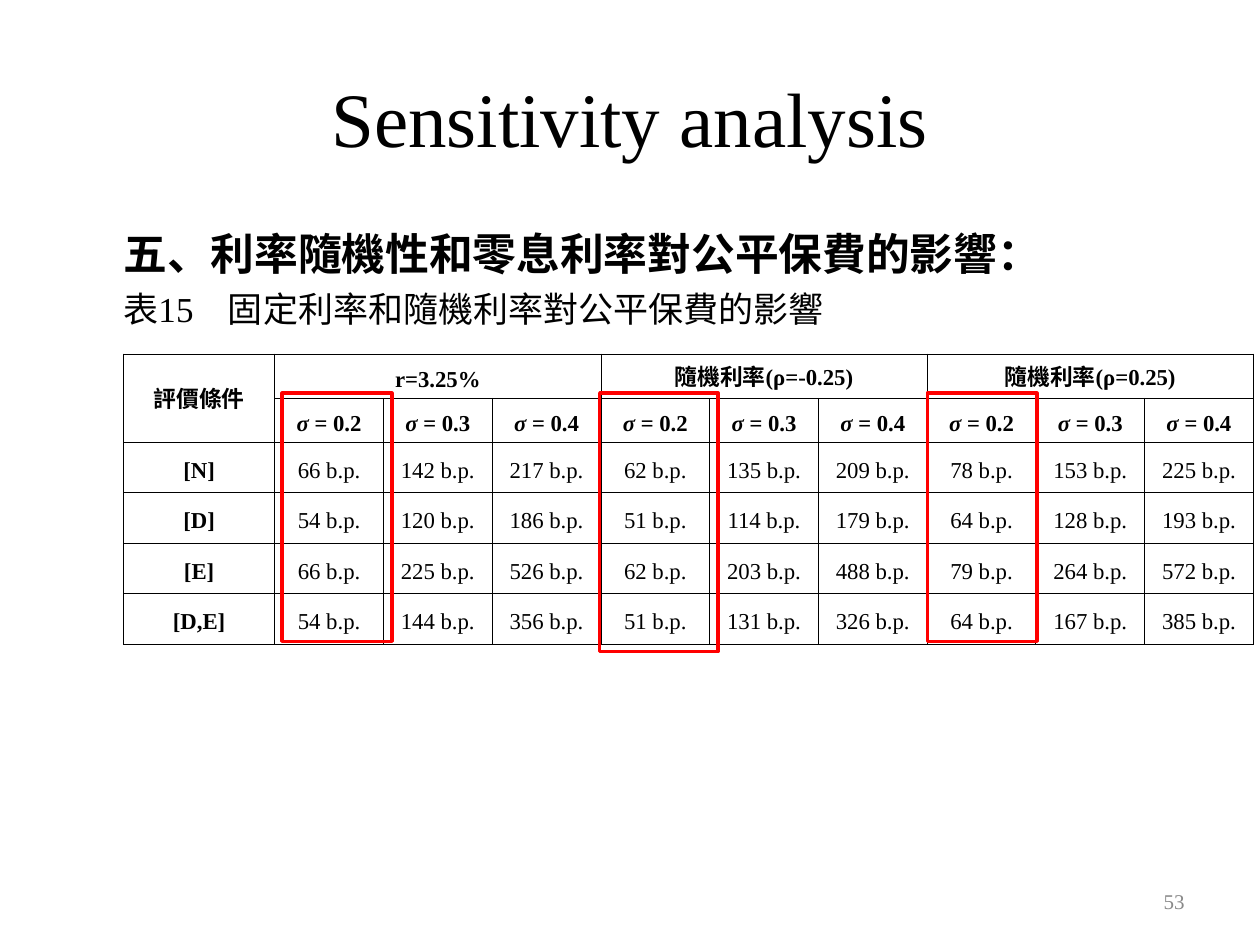
from dataclasses import dataclass

from lxml.etree import SubElement
from pptx import Presentation
from pptx.dml.color import RGBColor as RGB
from pptx.enum.shapes import MSO_SHAPE as Shape
from pptx.enum.text import MSO_ANCHOR as Anchor, PP_ALIGN as Align
from pptx.oxml.ns import qn
from pptx.util import Inches, Pt

# Content
TITLE = "Sensitivity analysis"
HEAD = "五、利率隨機性和零息利率對公平保費的影響："
NOTE = "表15\t固定利率和隨機利率對公平保費的影響"
PAGE = "53"
CORNER = "評價條件"
GROUPS = ["r=3.25%", "隨機利率(ρ=-0.25)", "隨機利率(ρ=0.25)"]
SIGMAS = ["0.2", "0.3", "0.4"]
RATES = {
    "[N]": [66, 142, 217, 62, 135, 209, 78, 153, 225],
    "[D]": [54, 120, 186, 51, 114, 179, 64, 128, 193],
    "[E]": [66, 225, 526, 62, 203, 488, 79, 264, 572],
    "[D,E]": [54, 144, 356, 51, 131, 326, 64, 167, 385],
}
# Marks round the 0.2 columns: left, width, height
MARKS = [(2.24, 0.87, 1.97), (4.76, 0.94, 2.05), (7.36, 0.87, 1.97)]
MARK_TOP = 3.12

# Table grid
LEFT, TOP, WIDE = 0.98, 2.81, 8.97
FIRST, HEAD_ROW, ROW = 1.2, 0.34, 0.4


@dataclass(frozen=True)
class Theme:
    font: str = "Times New Roman"
    ink: RGB = RGB(0, 0, 0)
    gray: RGB = RGB(0x89, 0x89, 0x89)
    red: RGB = RGB(0xFF, 0, 0)
    title: int = 44
    head: int = 25
    note: int = 20
    cell: int = 13
    page: int = 12


T = Theme()


def add_run(para, text, size, color=T.ink, bold=False, italic=False):
    run = para.add_run()
    run.text = text
    font = run.font
    font.name, font.size = T.font, Pt(size)
    font.bold, font.italic = bold, italic
    font.color.rgb = color


def add_box(slide, *place):
    frame = slide.shapes.add_textbox(*map(Inches, place)).text_frame
    frame.word_wrap = True
    return frame


def add_edges(cell):
    props = cell._tc.get_or_add_tcPr()
    for i, side in enumerate(("lnL", "lnR", "lnT", "lnB")):
        line = SubElement(props, qn("a:" + side), w=str(Pt(0.45)))
        fill = SubElement(line, qn("a:solidFill"))
        SubElement(fill, qn("a:srgbClr"), val=str(T.ink))
        props.insert(i, line)


def fill_cell(cell, *runs, bold=True):
    cell.vertical_anchor = Anchor.MIDDLE
    para = cell.text_frame.paragraphs[0]
    para.alignment = Align.CENTER
    para.line_spacing = Pt(18)
    for text, italic in runs:
        add_run(para, text, T.cell, bold=bold, italic=italic)


def add_rates(slide):
    count = len(GROUPS) * len(SIGMAS)
    heights = [HEAD_ROW] * 2 + [ROW] * len(RATES)
    place = map(Inches, (LEFT, TOP, WIDE, sum(heights)))
    table = slide.shapes.add_table(len(heights), count + 1, *place).table
    table.first_row = table.horz_banding = False
    widths = [FIRST] + [(WIDE - FIRST) / count] * count
    for col, width in zip(table.columns, widths):
        col.width = Inches(width)
    for row, height in zip(table.rows, heights):
        row.height = Inches(height)
    for cell in table.iter_cells():
        cell.margin_left = cell.margin_right = Inches(0.03)
        cell.fill.background()
        add_edges(cell)

    # Header rows
    table.cell(0, 0).merge(table.cell(1, 0))
    fill_cell(table.cell(0, 0), (CORNER, False))
    span = len(SIGMAS)
    for g, group in enumerate(GROUPS):
        start = 1 + g * span
        table.cell(0, start).merge(table.cell(0, start + span - 1))
        fill_cell(table.cell(0, start), (group, False))
        for s, sigma in enumerate(SIGMAS):
            fill_cell(table.cell(1, start + s), ("σ = ", True), (sigma, False))

    # Body rows
    for r, (name, rates) in enumerate(RATES.items(), 2):
        fill_cell(table.cell(r, 0), (name, False))
        for c, rate in enumerate(rates, 1):
            fill_cell(table.cell(r, c), (f"{rate} b.p.", False), bold=False)


def main():
    deck = Presentation()
    deck.slide_width, deck.slide_height = Inches(10), Inches(7.5)
    slide = deck.slides.add_slide(deck.slide_layouts[5])

    # Title
    title = slide.shapes.title
    title.left, title.top = Inches(0.5), Inches(0.3)
    title.width, title.height = Inches(9), Inches(1.25)
    title.text_frame.vertical_anchor = Anchor.MIDDLE
    para = title.text_frame.paragraphs[0]
    para.alignment = Align.CENTER
    add_run(para, TITLE, T.title)

    # Heading and table caption
    body = add_box(slide, 0.5, 1.75, 9, 4.95)
    body.margin_left = Inches(0.48)
    add_run(body.paragraphs[0], HEAD, T.head, bold=True)
    para = body.add_paragraph()
    para.space_before = Pt(5)
    tabs = SubElement(para._p.get_or_add_pPr(), qn("a:tabLst"))
    SubElement(tabs, qn("a:tab"), pos=str(Inches(0.83)), algn="l")
    add_run(para, NOTE, T.note)

    # Page number
    foot = add_box(slide, 7.17, 6.95, 2.33, 0.4)
    foot.vertical_anchor = Anchor.MIDDLE
    foot.paragraphs[0].alignment = Align.RIGHT
    add_run(foot.paragraphs[0], PAGE, T.page, T.gray)

    add_rates(slide)

    # Red marks
    for left, width, height in MARKS:
        place = map(Inches, (left, MARK_TOP, width, height))
        mark = slide.shapes.add_shape(Shape.RECTANGLE, *place)
        mark.shadow.inherit = False
        mark.fill.background()
        mark.line.color.rgb = T.red
        mark.line.width = Pt(2)

    deck.save("out.pptx")


if __name__ == "__main__":
    main()
